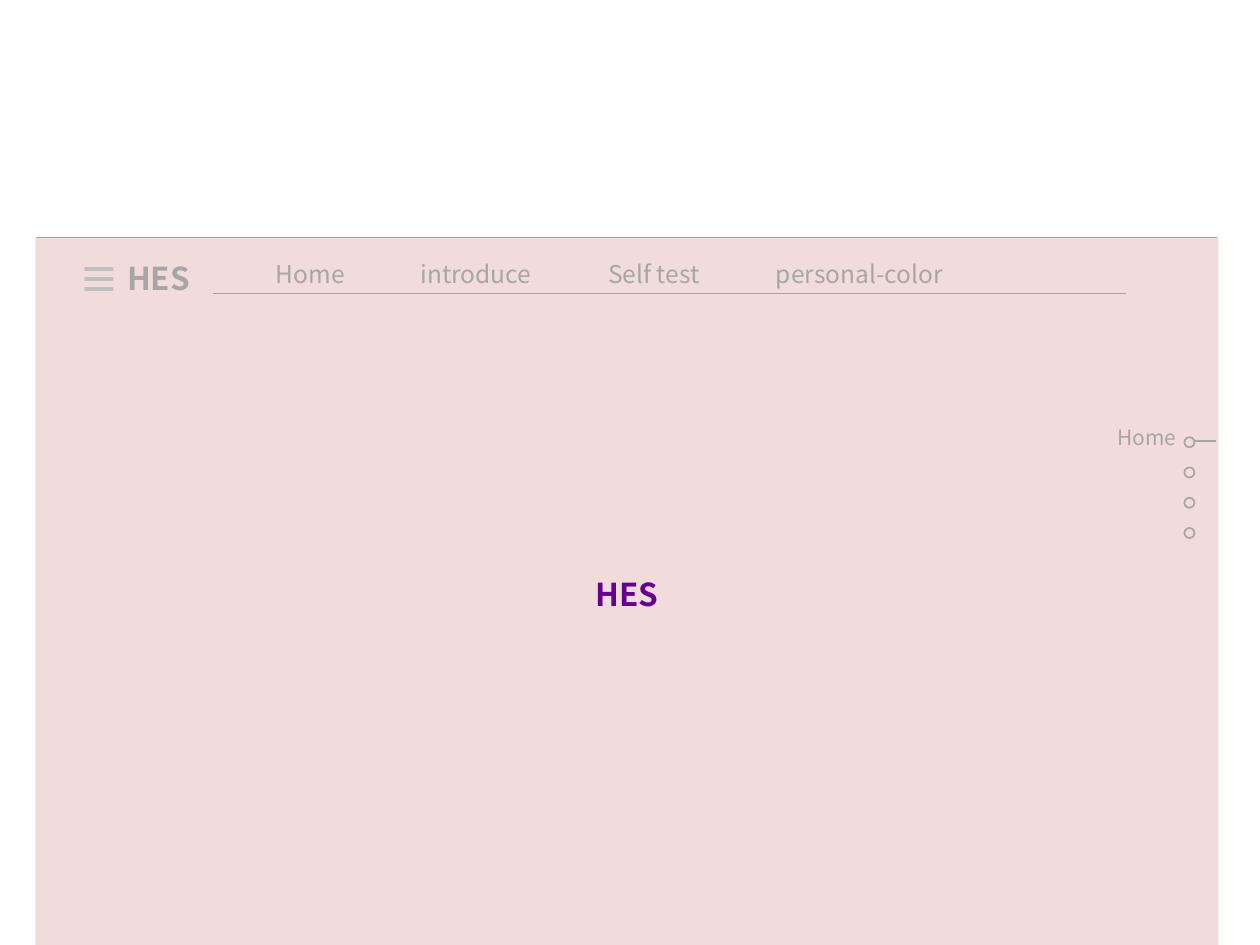
from lxml.etree import SubElement
from pptx import Presentation
from pptx.dml.color import RGBColor
from pptx.enum.shapes import MSO_CONNECTOR, MSO_SHAPE
from pptx.enum.text import MSO_ANCHOR, PP_ALIGN
from pptx.oxml.ns import qn
from pptx.util import Inches, Pt

GRAY = "A6A6A6"


def add_form(kind, left, top, width, height, fill=None, line=None):
    form = slide.shapes.add_shape(
        kind, Inches(left), Inches(top), Inches(width), Inches(height))
    form.shadow.inherit = False
    if fill:
        form.fill.solid()
        form.fill.fore_color.rgb = RGBColor.from_string(fill)
    else:
        form.fill.background()
    if line:
        form.line.color.rgb = RGBColor.from_string(line)
        form.line.width = Pt(1)
    else:
        form.line.fill.background()
    return form


def set_text(form, text, size, color=GRAY, bold=False):
    form.text_frame.word_wrap = True
    para = form.text_frame.paragraphs[0]
    para.text = text
    para.font.name = "Noto Sans CJK KR"
    para.font.size = Pt(size)
    para.font.bold = bold
    para.font.color.rgb = RGBColor.from_string(color)
    return para


deck = Presentation()
deck.slide_width, deck.slide_height = Inches(10), Inches(7.5)
slide = deck.slides.add_slide(deck.slide_layouts[6])

add_form(MSO_SHAPE.RECTANGLE, 0.29, 1.89, 9.37, 5.64, "FDEADA", GRAY)
panel = add_form(MSO_SHAPE.RECTANGLE, 0.28, 1.89, 9.39, 5.64, "F2DCDB")
panel.text_frame.vertical_anchor = MSO_ANCHOR.MIDDLE
set_text(panel, "HES", 18, "66008F", True).alignment = PP_ALIGN.CENTER

for row in range(3):
    add_form(MSO_SHAPE.RECTANGLE, 0.67, 2.12 + 0.08 * row, 0.23, 0.03, "BFBFBF")

for row in range(4):
    add_form(MSO_SHAPE.OVAL, 9.4, 3.47 + 0.24 * row, 0.08, 0.08, line=GRAY)

for start, end, y, width in [(9.48, 9.65, 3.5, 0.75), (1.69, 8.94, 2.33, 1)]:
    rule = slide.shapes.add_connector(
        MSO_CONNECTOR.STRAIGHT, Inches(start), Inches(y), Inches(end), Inches(y))
    rule.line.color.rgb = RGBColor.from_string(GRAY)
    rule.line.width = Pt(width)
    SubElement(rule._element.spPr, qn("a:effectLst"))

menu = "Home\tintroduce\tSelf test\tpersonal-color"
labels = [
    ("HES", 0.91, 2.01, 0.79, 0.4, 18, True),
    ("Home", 8.77, 3.32, 0.79, 0.3, 12, False),
    (menu, 2.09, 2.01, 6.46, 0.34, 14, False),
]
for text, left, top, width, height, size, bold in labels:
    box = slide.shapes.add_textbox(
        Inches(left), Inches(top), Inches(width), Inches(height))
    para = set_text(box, text, size, bold=bold)

props = para._p.get_or_add_pPr()
tabs = SubElement(props, qn("a:tabLst"))
props.insert(0, tabs)
for stop in (1.15, 2.64, 3.97):
    SubElement(tabs, qn("a:tab"), pos=str(Inches(stop)), algn="l")

deck.save("out.pptx")
